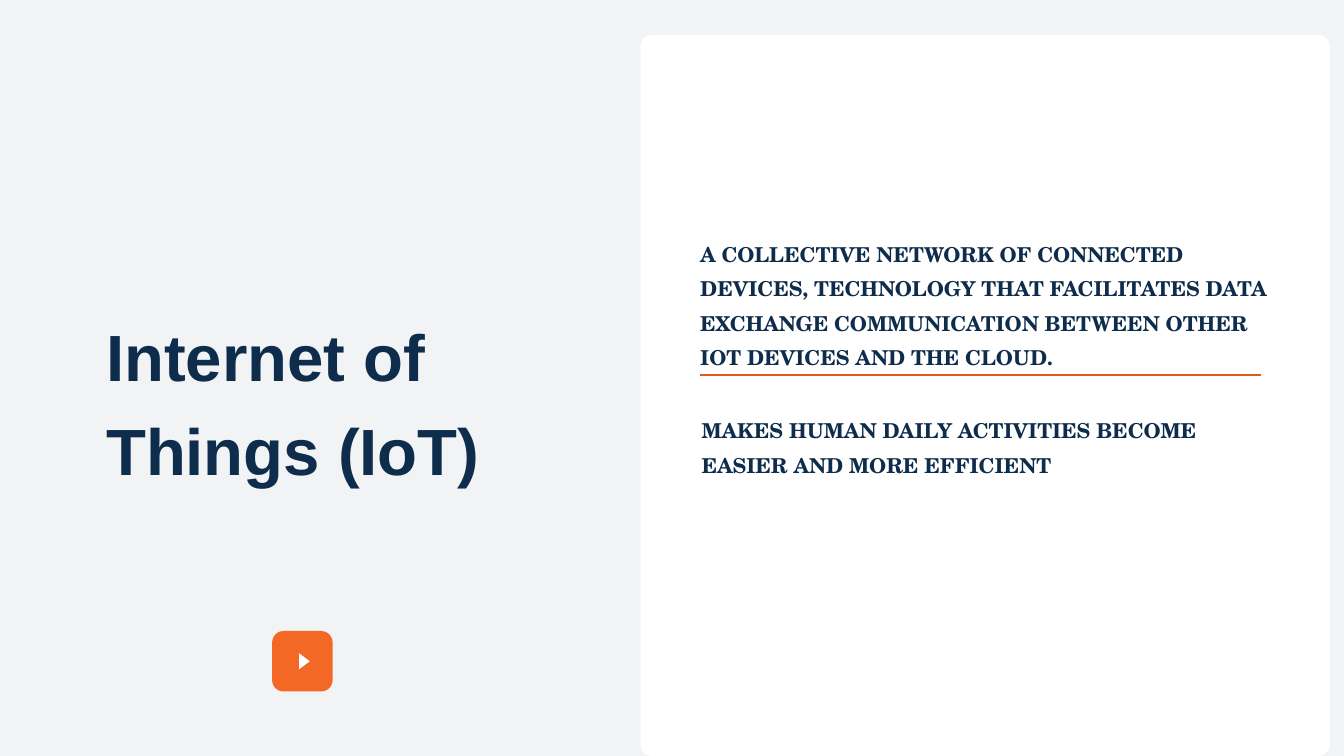
from pptx import Presentation
from pptx.dml.color import RGBColor
from pptx.enum.shapes import MSO_CONNECTOR, MSO_SHAPE
from pptx.enum.text import MSO_ANCHOR, PP_ALIGN
from pptx.oxml.ns import qn
from pptx.util import Inches, Pt
from lxml import etree

ROUNDED = MSO_SHAPE.ROUNDED_RECTANGLE
TRIANGLE = MSO_SHAPE.ISOSCELES_TRIANGLE
STRAIGHT = MSO_CONNECTOR.STRAIGHT
TOP = MSO_ANCHOR.TOP
LEFT = PP_ALIGN.LEFT

PALE_GREY = RGBColor(0xF2, 0xF3, 0xF4)
WHITE = RGBColor(0xFF, 0xFF, 0xFF)
NAVY = RGBColor(0x0E, 0x2C, 0x4B)
ORANGE = RGBColor(0xF3, 0x68, 0x25)
RUST = RGBColor(0xDF, 0x5A, 0x1C)

HEADING_FONT = "Arial"
BODY_FONT = "TeX Gyre Schola"
CORNER_RADIUS = 0.17


class SlideBuilder:
    def __init__(self, slide):
        self.slide = slide
        fill = slide.background.fill
        fill.solid()
        fill.fore_color.rgb = PALE_GREY

    def shape(self, kind, left, top, width, height, color):
        shape = self.slide.shapes.add_shape(
            kind, Inches(left), Inches(top), Inches(width), Inches(height))
        shape.shadow.inherit = False
        shape.fill.solid()
        shape.fill.fore_color.rgb = color
        shape.line.fill.background()
        return shape

    def rounded_panel(self, left, top, width, height, color):
        panel = self.shape(ROUNDED, left, top, width, height, color)
        panel.adjustments[0] = CORNER_RADIUS / min(width, height)

    def play_arrow(self, left, top, width, height):
        """Add a triangle whose box is given before its quarter turn."""
        arrow = self.shape(TRIANGLE, left, top, width, height, WHITE)
        arrow.rotation = 90

    def rule(self, left, right, y):
        rule = self.slide.shapes.add_connector(
            STRAIGHT, Inches(left), Inches(y), Inches(right), Inches(y))
        rule.line.color.rgb = RUST
        rule.line.width = Pt(1.5)
        etree.SubElement(rule._element.spPr, qn("a:effectLst"))

    def text(self, words, left, top, width, height, font, size, spacing):
        box = self.slide.shapes.add_textbox(
            Inches(left), Inches(top), Inches(width), Inches(height))
        frame = box.text_frame
        frame.word_wrap = True
        frame.vertical_anchor = TOP
        frame.margin_left = frame.margin_right = 0
        frame.margin_top = frame.margin_bottom = 0
        paragraph = frame.paragraphs[0]
        paragraph.text = words
        paragraph.alignment = LEFT
        paragraph.line_spacing = spacing
        paragraph.font.name = font
        paragraph.font.size = Pt(size)
        paragraph.font.bold = True
        paragraph.font.color.rgb = NAVY


def main():
    deck = Presentation()
    deck.slide_width = Inches(20)
    deck.slide_height = Inches(11.25)
    builder = SlideBuilder(deck.slides.add_slide(deck.slide_layouts[6]))

    builder.rounded_panel(9.53, 0.52, 10.26, 10.73, WHITE)
    builder.rule(10.42, 18.77, 5.58)

    builder.rounded_panel(4.05, 9.39, 0.9, 0.9, ORANGE)
    builder.play_arrow(4.41, 9.76, 0.24, 0.16)

    builder.text(
        "A COLLECTIVE NETWORK OF CONNECTED DEVICES, TECHNOLOGY THAT FACILITATES "
        "DATA EXCHANGE COMMUNICATION BETWEEN OTHER IOT DEVICES AND THE CLOUD.",
        10.42, 3.45, 8.44, 1.93, BODY_FONT, 22, 1.4)
    builder.text(
        "MAKES HUMAN DAILY ACTIVITIES BECOME EASIER AND MORE EFFICIENT",
        10.44, 6.08, 8.44, 0.89, BODY_FONT, 22, 1.4)
    builder.text("Internet of Things (IoT)",
                 1.58, 4.47, 6.75, 2.59, HEADING_FONT, 70, 1.2)

    deck.save("out.pptx")


if __name__ == "__main__":
    main()
